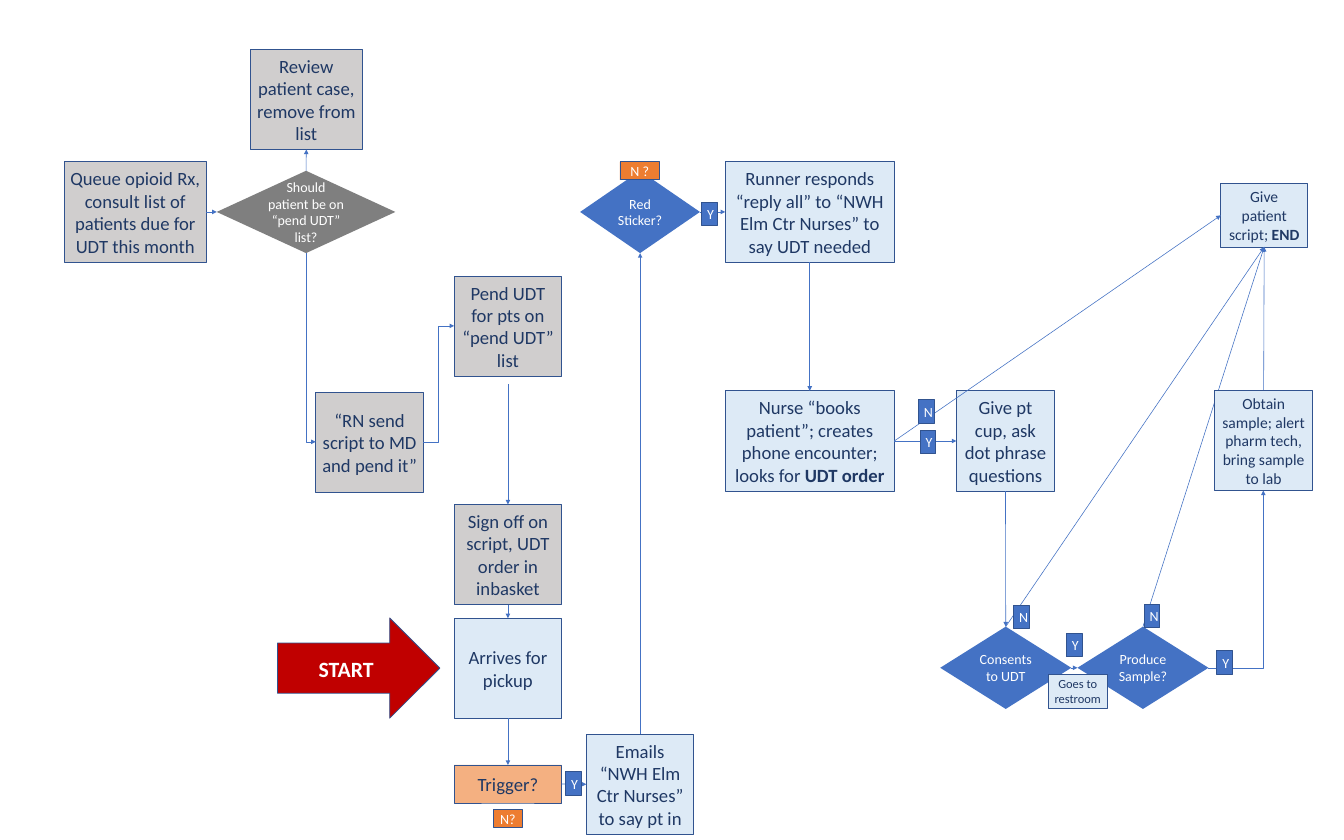
from lxml import etree
from pptx import Presentation
from pptx.dml.color import RGBColor
from pptx.enum.shapes import MSO_CONNECTOR, MSO_SHAPE
from pptx.enum.text import MSO_ANCHOR, PP_ALIGN
from pptx.oxml.ns import qn
from pptx.util import Inches, Pt

RECT, SORT, ARROW = MSO_SHAPE.RECTANGLE, MSO_SHAPE.FLOWCHART_SORT, MSO_SHAPE.DOWN_ARROW
STRAIGHT, ELBOW = MSO_CONNECTOR.STRAIGHT, MSO_CONNECTOR.ELBOW
MIDDLE, CENTER = MSO_ANCHOR.MIDDLE, PP_ALIGN.CENTER
TOP, LEFT, BOTTOM, RIGHT = range(4)  # connection sites of boxes and diamonds

NAVY, WHITE, BLUE, EDGE = "1F3864", "FFFFFF", "4472C4", "31538F"
GREY, DARK_GREY, PALE = "D0CECE", "7F7F7F", "DDEAF6"
PEACH, ORANGE, RED = "F4B081", "ED7D31", "C00000"
ROW = 1.79     # height of a regular step
COLUMN = 1.92  # width of the steps in the middle columns

# Steps: name -> (left, top, width, height), fill, text size, text, bold ending
STEPS = {
    "queue": ((1.15, 2.89, 2.53, ROW), GREY, 24,
              "Queue opioid Rx, consult list of patients due for UDT this month", ""),
    "review": ((4.47, 0.88, 2, ROW), GREY, 24, "Review patient case, remove from list", ""),
    "send": ((5.64, 7, COLUMN, ROW), GREY, 24, "“RN send script to MD and pend it”", ""),
    "pend": ((8.11, 4.93, COLUMN, ROW), GREY, 24, "Pend UDT for pts on “pend UDT” list", ""),
    "sign": ((8.11, 9.01, COLUMN, ROW), GREY, 24,
             "Sign off on script, UDT order in inbasket", ""),
    "arrives": ((8.11, 11.04, COLUMN, ROW), PALE, 24, "Arrives for pickup", ""),
    "trigger": ((8.11, 13.66, COLUMN, 0.68), PEACH, 24, "Trigger?", ""),
    "emails": ((10.47, 13.11, COLUMN, ROW), PALE, 24,
               "Emails “NWH Elm Ctr Nurses” to say pt in", ""),
    "runner": ((12.95, 2.89, 3.02, ROW), PALE, 24,
               "Runner responds “reply all” to “NWH Elm Ctr Nurses” to say UDT needed", ""),
    "nurse": ((12.95, 6.98, 3.02, ROW), PALE, 24,
              "Nurse “books patient”; creates phone encounter; looks for ", "UDT order"),
    "cup": ((17.08, 6.98, 1.75, ROW), PALE, 24, "Give pt cup, ask dot phrase questions", ""),
    "end": ((21.8, 3.28, 1.55, 1.13), PALE, 20, "Give patient script; ", "END"),
    "obtain": ((21.69, 6.97, 1.75, ROW), PALE, 20,
               "Obtain sample; alert pharm tech, bring sample to lab", ""),
}

# Decisions: name -> (left, top, width, height), fill, text
DECISIONS = {
    "listed": ((3.87, 3.05, 3.19, 1.47), DARK_GREY, "Should patient be on “pend UDT” list?"),
    "sticker": ((10.36, 3.05, 2.14, 1.47), BLUE, "Red Sticker?"),
    "consents": ((16.79, 11.19, 2.34, 1.47), BLUE, "Consents to UDT"),
    "produce": ((19.24, 11.19, 2.34, 1.47), BLUE, "Produce Sample?"),
}

# Straight arrows between connection sites
ARROWS = [
    ("queue", RIGHT, "listed", LEFT), ("listed", TOP, "review", BOTTOM),
    ("sign", BOTTOM, "arrives", TOP), ("arrives", BOTTOM, "trigger", TOP),
    ("trigger", RIGHT, "emails", LEFT), ("emails", TOP, "sticker", BOTTOM),
    ("sticker", RIGHT, "runner", LEFT), ("runner", BOTTOM, "nurse", TOP),
    ("nurse", RIGHT, "cup", LEFT), ("nurse", RIGHT, "end", LEFT),
    ("cup", BOTTOM, "consents", TOP), ("consents", RIGHT, "produce", LEFT),
    ("consents", TOP, "end", BOTTOM), ("produce", TOP, "end", BOTTOM),
    ("obtain", TOP, "end", BOTTOM),
]

# Other arrows: kind, start, end, preset, rotation in degrees
FREE_ARROWS = [
    (STRAIGHT, (9.07, 6.86), (9.07, 9.01), "line", 0),
    (ELBOW, (7.56, 7.89), (8.11, 5.82), "bentConnector3", 0),
    (ELBOW, (21.58, 11.93), (22.56, 8.76), "bentConnector2", 0),
    (ELBOW, (7.24, 6.12), (3.87, 6.29), "bentConnector2", 270),
]

# Small answer tags: letter -> left and top of each
ANSWERS = {
    "Y": [(12.53, 3.61), (10.1, 13.78), (16.43, 7.68), (19.04, 11.31), (21.73, 11.62)],
    "N": [(16.4, 7.14), (18.1, 10.81), (20.43, 10.79)],
}
OPEN_ANSWERS = [("N ?", (11.07, 2.89, 0.71, 0.32)), ("N?", (8.81, 14.46, 0.52, 0.31))]


def color(value):
    return RGBColor.from_string(value)


def write(box, text, size, ink, bold_ending="", bold=False):
    frame = box.text_frame
    frame.word_wrap = True
    frame.vertical_anchor = MIDDLE
    para = frame.paragraphs[0]
    para.alignment = CENTER
    for part, strong in ((text, bold), (bold_ending, True)):
        if part:
            span = para.add_run()
            span.text = part
            look = {"name": "Calibri", "size": Pt(size), "bold": strong}
            for key, value in look.items():
                setattr(span.font, key, value)
            span.font.color.rgb = color(ink)


def add_box(page, kind, place, fill, edge=EDGE):
    box = page.shapes.add_shape(kind, *map(Inches, place))
    box.shadow.inherit = False
    box.fill.solid()
    box.fill.fore_color.rgb = color(fill)
    if edge:
        box.line.color.rgb = color(edge)
        box.line.width = Pt(1)
    else:
        box.line.fill.background()
    return box


def add_arrow(page, kind, start=(0, 0), end=(0, 0)):
    arrow = page.shapes.add_connector(kind, *map(Inches, start + end))
    arrow.line.color.rgb = color(BLUE)
    arrow.line.width = Pt(0.75)
    properties = arrow._element.spPr
    etree.SubElement(properties.find(qn("a:ln")), qn("a:tailEnd"), type="triangle")
    etree.SubElement(properties, qn("a:effectLst"))
    return arrow


def main():
    deck = Presentation()
    deck.slide_width, deck.slide_height = Inches(24), Inches(15)
    page = deck.slides.add_slide(deck.slide_layouts[6])
    boxes = {}

    # Steps and decisions
    for name, (place, fill, size, text, ending) in STEPS.items():
        boxes[name] = add_box(page, RECT, place, fill)
        write(boxes[name], text, size, NAVY, ending)
    for name, (place, fill, text) in DECISIONS.items():
        boxes[name] = add_box(page, SORT, place, fill, None)
        write(boxes[name], text, 18, WHITE)

    # Start arrow and its caption
    start = add_box(page, ARROW, (5.51, 10.48, ROW, 2.9), RED)
    start.rotation = 270
    caption = page.shapes.add_textbox(*map(Inches, (4.95, 11.49, 2.46, 0.89)))
    write(caption, "START", 28, WHITE, bold=True)

    # Arrows
    for source, source_site, target, target_site in ARROWS:
        arrow = add_arrow(page, STRAIGHT)
        arrow.begin_connect(boxes[source], source_site)
        arrow.end_connect(boxes[target], target_site)
    for kind, begin, finish, preset, turn in FREE_ARROWS:
        properties = add_arrow(page, kind, begin, finish)._element.spPr
        properties.find(qn("a:prstGeom")).set("prst", preset)
        if turn:
            properties.find(qn("a:xfrm")).set("rot", str(turn * 60000))

    # The sample step covers the arrow that passes its corner
    page.shapes._spTree.append(boxes["obtain"]._element)

    # Answer tags and the restroom note
    for letter, spots in ANSWERS.items():
        for spot in spots:
            write(add_box(page, RECT, spot + (0.28, 0.42), BLUE), letter, 18, WHITE)
    for text, place in OPEN_ANSWERS:
        write(add_box(page, RECT, place, ORANGE), text, 18, WHITE)
    note = add_box(page, RECT, (18.72, 12.04, 1.05, 0.61), PALE)
    write(note, "Goes to restroom", 16, NAVY)

    deck.save("out.pptx")


if __name__ == "__main__":
    main()
